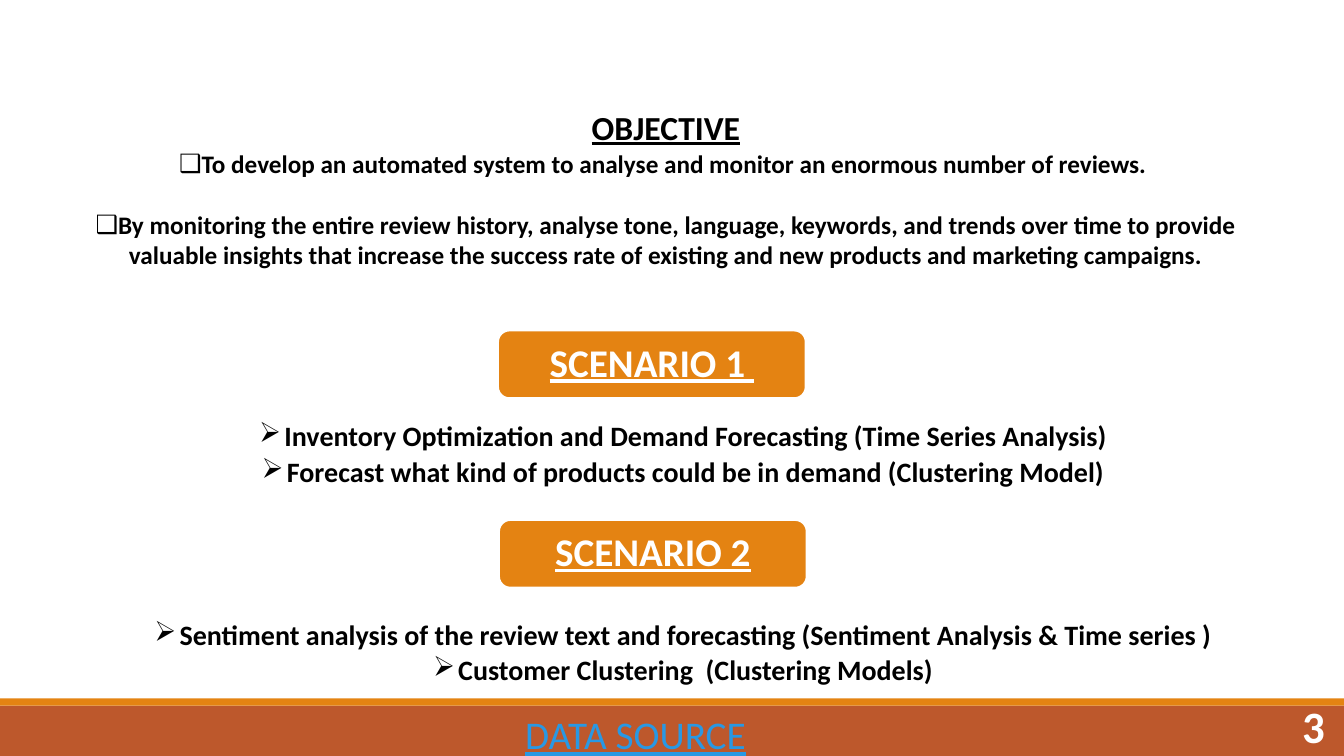
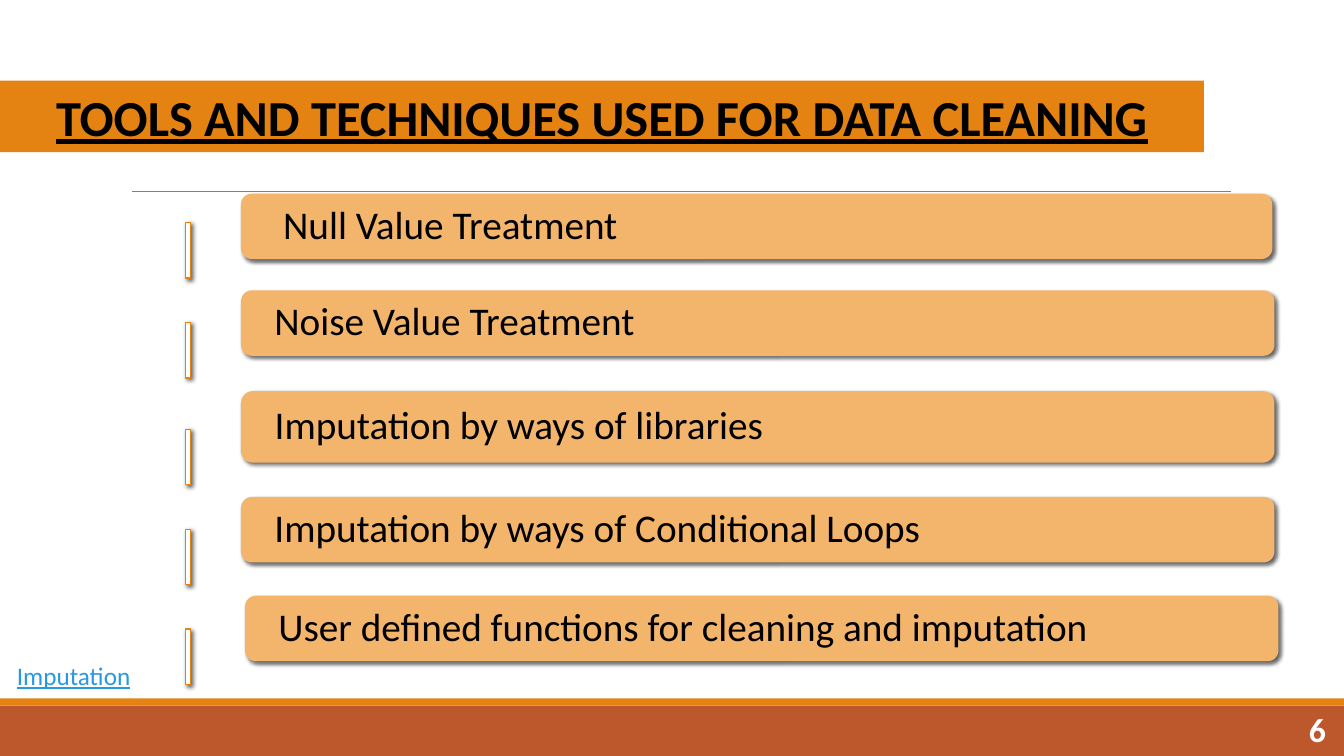
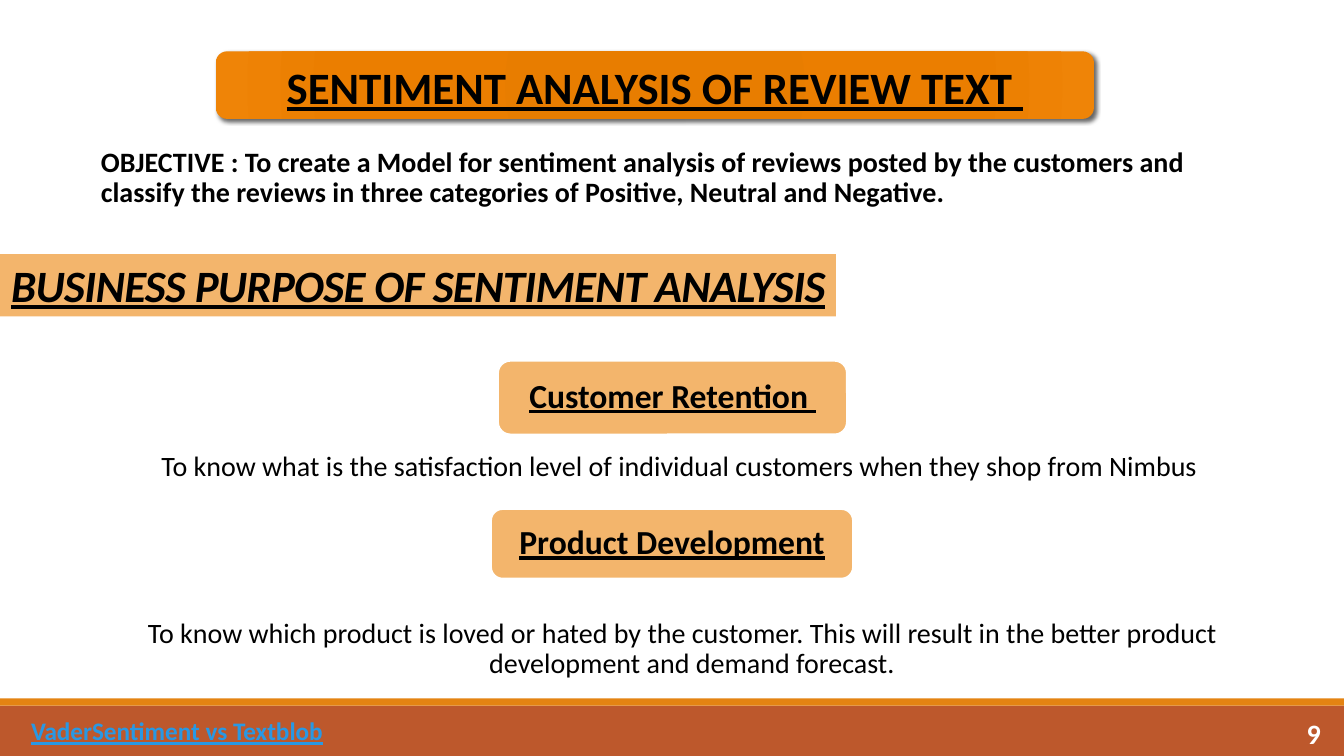
"""Build three review-analysis slides: objective, data cleaning and sentiment analysis."""
from lxml import etree
from pptx import Presentation
from pptx import util as u
from pptx.dml.color import RGBColor
from pptx.enum import shapes, text
from pptx.oxml.ns import qn

FONT = "Calibri"
RUST, ORANGE, PEACH = "BD582C", "E48312", "F3B56C"
WHITE, BLACK, LINK, GREY = "FFFFFF", "000000", "2998E3", "808080"
RECT, ROUND = shapes.MSO_SHAPE.RECTANGLE, shapes.MSO_SHAPE.ROUNDED_RECTANGLE
LEFT, CENTER, RIGHT = text.PP_ALIGN.LEFT, text.PP_ALIGN.CENTER, text.PP_ALIGN.RIGHT
TOP, MIDDLE, BOTTOM = text.MSO_ANCHOR.TOP, text.MSO_ANCHOR.MIDDLE, text.MSO_ANCHOR.BOTTOM

BANDS = [((0, 7, 13.33, 0.5), RUST), ((0, 6.93, 13.33, 0.07), ORANGE)]

OBJECTIVES = [
    "To develop an automated system to analyse and monitor an enormous number of reviews. ",
    "By monitoring the entire review history, analyse tone, language, keywords, and trends over time "
    "to provide valuable insights that increase the success rate of existing and new products and "
    "marketing campaigns.",
]
SCENARIOS = [
    ("SCENARIO 1 ", (4.94, 3.28, 3.05, 0.67), 4.16,
     ["Inventory Optimization and Demand Forecasting (Time Series Analysis)",
      "Forecast what kind of products could be in demand (Clustering Model)"]),
    ("SCENARIO 2", (4.95, 5.16, 3.05, 0.67), 6.13,
     ["Sentiment analysis of the review text and forecasting (Sentiment Analysis & Time series )",
      "Customer Clustering  (Clustering Models)"]),
]
TECHNIQUES = [
    (" Null Value Treatment", (2.39, 1.92, 10.23, 0.65), 2.21),
    ("Noise Value Treatment", (2.39, 2.88, 10.25, 0.65), 3.2),
    ("Imputation by ways of libraries", (2.39, 3.88, 10.25, 0.71), 4.26),
    ("Imputation by ways of Conditional Loops", (2.39, 4.93, 10.25, 0.65), 5.25),
    ("User defined functions for cleaning and imputation", (2.43, 5.91, 10.25, 0.65), 6.24),
]
SENTIMENT_GOAL = (
    "OBJECTIVE : To create a Model for sentiment analysis of reviews posted by the customers and "
    "classify the reviews in three categories of Positive, Neutral and Negative.")
PURPOSES = [
    ("Customer Retention ", (4.94, 3.58, 3.46, 0.73), 4.46,
     "To know what is the satisfaction level of individual customers when they shop from Nimbus "),
    ("Product Development", (4.87, 5.05, 3.59, 0.69), 6.11,
     "To know which product is loved or hated by the customer. This will result in the better "
     "product development and demand forecast. "),
]
HEADING_STOPS = [(0, "E57B00"), (34, "E87D00"), (70, "EB7E00"), (100, "EF8407")]


def rgb(code):
    """Turn a hex string into a colour."""
    return RGBColor.from_string(code)


def add(parent, tag, **attributes):
    """Append a drawing element with its attributes."""
    return etree.SubElement(parent, qn(tag), attributes)


def write(frame, lines, size=18, color=BLACK, bold=False, italic=False, underline=False,
          align=LEFT, anchor=TOP, insets=(0.1, 0.05, 0.1, 0.05), spacing=1.0, before=0,
          after=0, bullet=None, hang=0, tracking=None):
    """Fill a text frame with one paragraph per line in a single format."""
    frame.word_wrap = True
    frame.auto_size = text.MSO_AUTO_SIZE.NONE
    frame.vertical_anchor = anchor
    (frame.margin_left, frame.margin_top,
     frame.margin_right, frame.margin_bottom) = map(u.Inches, insets)
    for index, line in enumerate([lines] if isinstance(lines, str) else lines):
        paragraph = frame.add_paragraph() if index else frame.paragraphs[0]
        paragraph.alignment = align
        paragraph.line_spacing = spacing
        paragraph.space_before = u.Pt(before if index else 0)
        paragraph.space_after = u.Pt(after)
        run = paragraph.add_run()
        run.text = line
        font = run.font
        font.name, font.size, font.color.rgb = FONT, u.Pt(size), rgb(color)
        font.bold, font.italic, font.underline = bold, italic, underline
        if tracking:
            run._r.get_or_add_rPr().set("spc", str(int(tracking * 100)))
        properties = paragraph._p.get_or_add_pPr()
        properties.set("marL", str(u.Inches(hang)))
        properties.set("indent", str(-u.Inches(hang)))
        if bullet:
            add(properties, "a:buChar", char=bullet)
        else:
            add(properties, "a:buNone")


def place(shape, box):
    """Move and size a shape."""
    shape.left, shape.top, shape.width, shape.height = map(u.Inches, box)
    return shape


def block(slide, box, fill, kind=RECT, line=None, width=1.25, shadow=False):
    """Draw a filled shape with an optional outline and soft shadow."""
    shape = slide.shapes.add_shape(kind, *map(u.Inches, box))
    shape.fill.solid()
    shape.fill.fore_color.rgb = rgb(fill)
    if line:
        shape.line.color.rgb = rgb(line)
        shape.line.width = u.Pt(width)
    else:
        shape.line.fill.background()
    shape.shadow.inherit = False
    if shadow:
        effects = shape.element.spPr.find(qn("a:effectLst"))
        outer = add(effects, "a:outerShdw", blurRad=str(u.Pt(3)), dist=str(u.Pt(2)),
                    dir="2700000", algn="tl", rotWithShape="0")
        add(add(outer, "a:srgbClr", val=BLACK), "a:alpha", val="60000")
    return shape


def shade(shape, stops):
    """Replace a solid fill with a circular gradient."""
    solid = shape.element.spPr.find(qn("a:solidFill"))
    gradient = etree.Element(qn("a:gradFill"), rotWithShape="1")
    stop_list = add(gradient, "a:gsLst")
    for position, color in stops:
        add(add(stop_list, "a:gs", pos=str(position * 1000)), "a:srgbClr", val=color)
    corner = add(gradient, "a:path", path="circle")
    add(corner, "a:fillToRect", l="100000", t="100000", r="100000", b="100000")
    solid.getparent().replace(solid, gradient)


def label(slide, box, lines, **style):
    """Add a text box."""
    write(slide.shapes.add_textbox(*map(u.Inches, box)).text_frame, lines, **style)


def fill_placeholder(placeholder, box, lines, fill=None, **style):
    """Place a template placeholder and write into it."""
    place(placeholder, box)
    if fill:
        placeholder.fill.solid()
        placeholder.fill.fore_color.rgb = rgb(fill)
    write(placeholder.text_frame, lines, **style)


def page_number(slide, number, left, top, size):
    """Write the page number on the footer band."""
    label(slide, (left, top, 1.43, 0.4), number, size=size, color=WHITE, bold=True,
          align=RIGHT, anchor=MIDDLE)


def add_bands(deck, slide):
    """Put the footer bands on the slide master."""
    tree = deck.slide_master.element.cSld.spTree
    for index, (box, color) in enumerate(BANDS):
        band = block(slide, box, color).element
        band.nvSpPr.cNvPr.set("id", str(100 + index))
        tree.insert(2 + index, band)


def objective_slide(slide):
    """Objective with two scenarios."""
    fill_placeholder(slide.shapes.title, (0.7, 1.01, 11.81, 0.46), "OBJECTIVE",
                     size=24, bold=True, underline=True, align=CENTER)
    fill_placeholder(slide.placeholders[1], (0.7, 1.47, 11.81, 1.26), OBJECTIVES,
                     bold=True, align=CENTER, before=22, bullet="❑", insets=(0.1, 0, 0.1, 0))
    for name, box, top, tasks in SCENARIOS:
        tile = block(slide, box, ORANGE, ROUND, line=WHITE)
        write(tile.text_frame, name, size=28, color=WHITE, bold=True, underline=True,
              align=CENTER, anchor=MIDDLE, spacing=0.9)
        label(slide, (0.82, top, 11.7, 0.81), tasks, size=20, bold=True, align=CENTER,
              spacing=0.9, after=4, bullet="➢", hang=0.25, insets=(0.37, 0.03, 0.16, 0.03))
    label(slide, (5.11, 7, 2.43, 0.57), "DATA SOURCE", size=28, color=LINK, underline=True)
    page_number(slide, "3", 11.81, 7, 32)


def cleaning_slide(slide):
    """Data cleaning techniques as a column of tiles."""
    fill_placeholder(slide.shapes.title, (0, 0.8, 11.94, 0.71),
                     "TOOLS AND TECHNIQUES USED FOR DATA CLEANING", fill=ORANGE,
                     size=36, bold=True, underline=True, align=CENTER)
    rule = slide.shapes.add_connector(shapes.MSO_CONNECTOR.STRAIGHT, u.Inches(1.31),
                                      u.Inches(1.9), u.Inches(12.21), u.Inches(1.9))
    rule.line.color.rgb = rgb(GREY)
    rule.line.width = u.Pt(0.5)
    add(rule.element.spPr, "a:effectLst")
    for technique, box, marker_top in TECHNIQUES:
        block(slide, (1.84, marker_top, 0.05, 0.55), WHITE, line=ORANGE, width=1, shadow=True)
        tile = block(slide, box, PEACH, ROUND, shadow=True)
        write(tile.text_frame, technique, size=28, anchor=MIDDLE, spacing=0.9,
              insets=(0.3, 0, 0.3, 0))
    label(slide, (-0.38, 6.5, 2.22, 0.4), "Imputation", color=LINK, underline=True, align=CENTER)
    page_number(slide, "6", 11.82, 7.03, 24)


def sentiment_slide(slide):
    """Sentiment analysis goal and its business purposes."""
    fill_placeholder(slide.placeholders[1], (1, 1.42, 11.34, 0.77), SENTIMENT_GOAL,
                     size=20, bold=True, spacing=0.9, insets=(0, 0.05, 0, 0.05))
    fill_placeholder(slide.shapes.title, (0, 2.52, 8.29, 0.62),
                     "BUSINESS PURPOSE OF SENTIMENT ANALYSIS ", fill=PEACH, size=32, bold=True,
                     italic=True, underline=True, align=CENTER, anchor=BOTTOM, spacing=0.85,
                     tracking=-0.5)
    heading = block(slide, (2.14, 0.51, 8.71, 0.67), ORANGE, ROUND, shadow=True)
    shade(heading, HEADING_STOPS)
    write(heading.text_frame, "SENTIMENT ANALYSIS OF REVIEW TEXT ", size=32, bold=True,
          underline=True, align=CENTER)
    for name, box, top, reason in PURPOSES:
        tile = block(slide, box, PEACH, ROUND, line=WHITE)
        write(tile.text_frame, name, size=24, bold=True, underline=True, align=CENTER,
              anchor=MIDDLE, spacing=0.9)
        label(slide, (0.64, top, 12.04, 0.62), reason, size=20, align=CENTER, spacing=0.9,
              hang=0.25, insets=(0.38, 0.03, 0.16, 0.03))
    label(slide, (0.21, 7.05, 3.4, 0.4), "VaderSentiment vs Textblob", color=LINK, bold=True,
          underline=True)
    page_number(slide, "9", 11.77, 7.07, 20)


def main():
    """Build and save the deck."""
    deck = Presentation()
    deck.slide_width, deck.slide_height = u.Inches(13.33), u.Inches(7.5)
    pages = [(objective_slide, 1), (cleaning_slide, 5), (sentiment_slide, 1)]
    for build, layout in pages:
        build(deck.slides.add_slide(deck.slide_layouts[layout]))
    add_bands(deck, deck.slides[0])
    deck.save("out.pptx")


if __name__ == "__main__":
    main()
